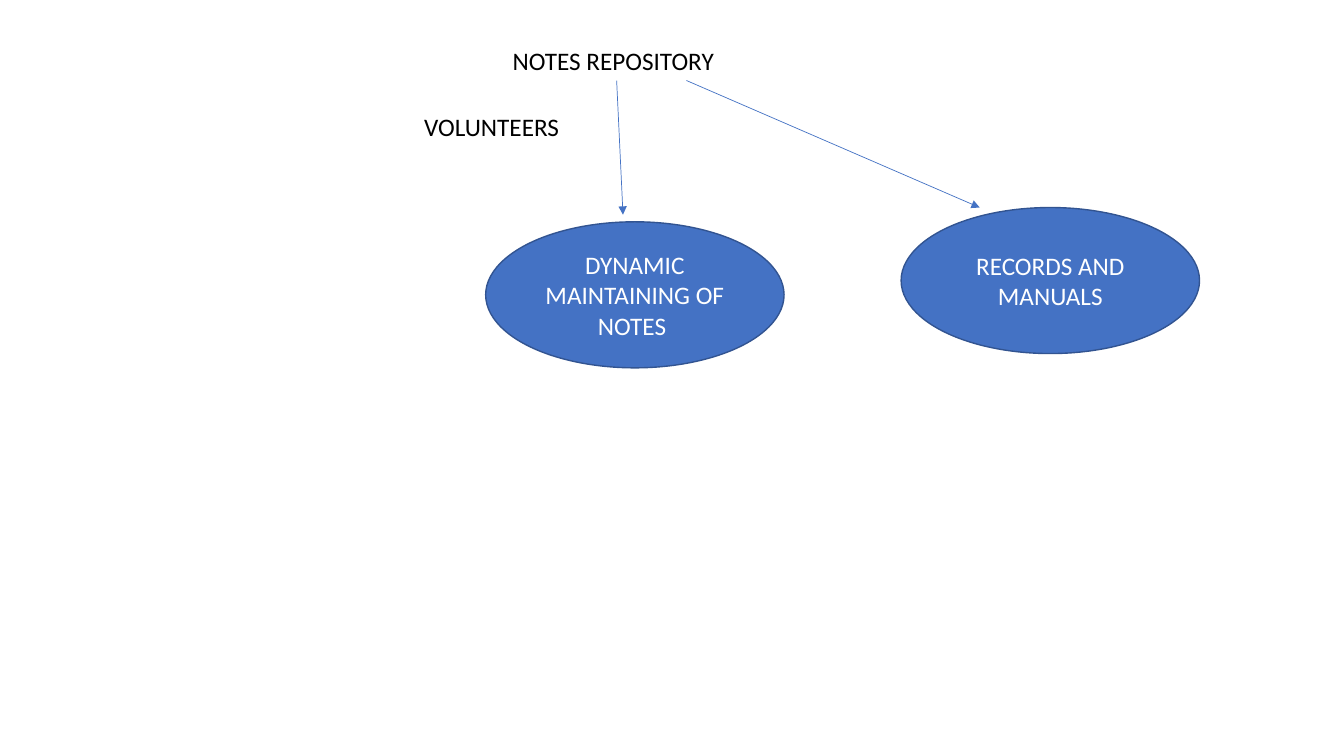
from lxml import etree
from pptx import Presentation
from pptx import util as u
from pptx.dml.color import RGBColor
from pptx.enum import shapes, text
from pptx.oxml.ns import qn

BLUE, EDGE, BLACK, WHITE = "4472C4", "325491", "000000", "FFFFFF"
FONT, SIZE = "Calibri", 18

# Places are in centimetres: left, top, width
LABELS = [
    ("NOTES REPOSITORY", 12.67, 1.02, 7),
    ("VOLUNTEERS", 10.44, 2.69, 5.97),
]
# Left, top of each ellipse
OVALS = [
    ("DYNAMIC MAINTAINING OF NOTES ", 12.24, 5.59),
    ("RECORDS AND MANUALS", 22.71, 5.23),
]
OVAL_W, OVAL_H, LABEL_H = 7.52, 3.68, 1.02
# Start x, y and end x, y
ARROWS = [(15.54, 2.03, 15.7, 5.41), (17.3, 2.03, 24.69, 5.23)]


def color(code):
    """Turn a hex string into a colour."""
    return RGBColor.from_string(code)


def write(shape, words, ink, align):
    """Put wrapped, styled text in a shape."""
    frame = shape.text_frame
    frame.word_wrap = True
    frame.text = words
    para = frame.paragraphs[0]
    para.alignment = align
    font = para.runs[0].font
    font.name, font.size = FONT, u.Pt(SIZE)
    font.color.rgb = color(ink)
    return frame


def label(words, left, top, width):
    """Add a plain text label."""
    box = slide.shapes.add_textbox(*map(u.Cm, (left, top, width, LABEL_H)))
    write(box, words, BLACK, text.PP_ALIGN.LEFT)


def oval(words, left, top):
    """Add a filled ellipse with centred text."""
    shape = slide.shapes.add_shape(
        shapes.MSO_SHAPE.OVAL, *map(u.Cm, (left, top, OVAL_W, OVAL_H)))
    shape.shadow.inherit = False
    shape.fill.solid()
    shape.fill.fore_color.rgb = color(BLUE)
    shape.line.color.rgb = color(EDGE)
    shape.line.width = u.Pt(1)
    frame = write(shape, words, WHITE, text.PP_ALIGN.CENTER)
    frame.vertical_anchor = text.MSO_ANCHOR.MIDDLE


def arrow(*ends):
    """Add a thin line with a triangle at its end."""
    link = slide.shapes.add_connector(
        shapes.MSO_CONNECTOR.STRAIGHT, *map(u.Cm, ends))
    link.line.color.rgb = color(BLUE)
    link.line.width = u.Pt(0.5)
    etree.SubElement(link.line._get_or_add_ln(), qn("a:tailEnd"), type="triangle")
    etree.SubElement(link._element.spPr, qn("a:effectLst"))


deck = Presentation()
deck.slide_width, deck.slide_height = u.Cm(33.87), u.Cm(19.05)
slide = deck.slides.add_slide(deck.slide_layouts[6])

for draw, items in ((oval, OVALS), (arrow, ARROWS), (label, LABELS)):
    for item in items:
        draw(*item)

deck.save("out.pptx")
